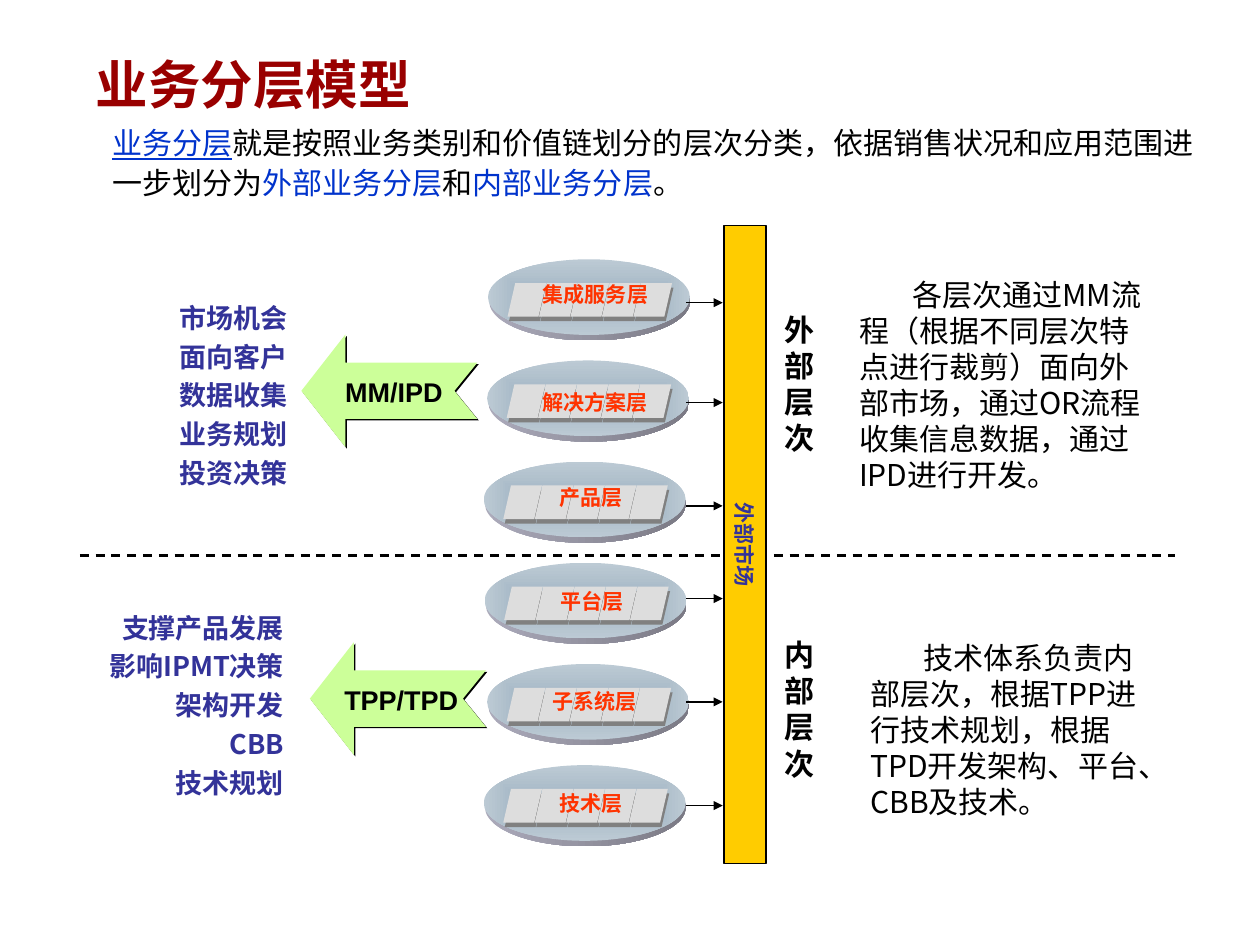
from dataclasses import dataclass
from lxml import etree
from pptx import Presentation
from pptx.dml.color import RGBColor
from pptx.enum.dml import MSO_LINE
from pptx.enum.shapes import MSO_CONNECTOR, MSO_SHAPE
from pptx.enum.text import MSO_ANCHOR, MSO_AUTO_SIZE, PP_ALIGN
from pptx.oxml.ns import qn
from pptx.util import Cm, Pt

LEFT, CENTER, RIGHT = PP_ALIGN.LEFT, PP_ALIGN.CENTER, PP_ALIGN.RIGHT
MIDDLE = MSO_ANCHOR.MIDDLE
NO_FIT = MSO_AUTO_SIZE.NONE
STRAIGHT = MSO_CONNECTOR.STRAIGHT
DASH = MSO_LINE.DASH
OVAL, TILE, RECT = MSO_SHAPE.OVAL, MSO_SHAPE.PARALLELOGRAM, MSO_SHAPE.RECTANGLE
CJK, LATIN = "Noto Sans CJK SC", "Arial"


@dataclass(frozen=True)
class Theme:
    black: str = "000000"
    red: str = "990000"
    blue: str = "0033CC"
    indigo: str = "333399"
    orange: str = "FF3300"
    green: str = "CCFF99"
    gold: str = "FFCC00"
    tile: str = "DDDDDD"
    tile_shadow: str = "808080"
    disc: tuple = ("A1B4C3", "BCCAD4")
    rim: tuple = ("ABAABA", "7B7A85")
    title_size: int = 35
    body_size: int = 20
    list_size: int = 18
    label_size: int = 14


T = Theme()


def style(size, color, name=LATIN, **more):
    return {"color": color, "font": {"size": Pt(size), "name": name, **more}}


TITLE = style(T.title_size, T.red, bold=True)
BODY = style(T.body_size, T.black, CJK)
KEYWORD = style(T.body_size, T.blue, CJK)
TERM = style(T.body_size, T.blue, CJK, underline=True)
SIDE = style(T.body_size, T.black, bold=True)
LIST = style(T.list_size, T.indigo, CJK, bold=True)
ARROW = style(T.list_size, T.black, bold=True)
LAYER = style(T.label_size, T.orange, bold=True)
MARKET = style(T.label_size, T.indigo, bold=True)

LAYERS = [
    ("集成服务层", 11.48, 6.5, 7.12),
    ("解决方案层", 11.46, 9.04, 9.47),
    ("产品层", 11.38, 11.28, 11.9),
    ("平台层", 11.4, 13.72, 14.08),
    ("子系统层", 11.46, 16.08, 16.51),
    ("技术层", 11.38, 18.47, 18.95),
]
NOTCHED = [(1, .25), (.25, .25), (.25, 0), (0, .5), (.25, 1), (.25, .75), (1, .75), (.87, .5)]


def rgb(color):
    return RGBColor.from_string(color)


def cm(box):
    return [Cm(v) for v in box]


def write(tf, paragraphs, align=LEFT, spacing=None, indent=None):
    for i, runs in enumerate(paragraphs):
        p = tf.add_paragraph() if i else tf.paragraphs[0]
        p.alignment = align
        if spacing:
            p.line_spacing = spacing
        if indent:
            p._p.get_or_add_pPr().set("indent", str(Cm(indent)))
        for text, look in runs:
            r = p.add_run()
            r.text = text
            for key, value in look["font"].items():
                setattr(r.font, key, value)
            r.font.color.rgb = rgb(look["color"])
            ea = etree.SubElement(r._r.get_or_add_rPr(), qn("a:ea"))
            ea.set("typeface", CJK)


def text_box(s, box, paragraphs, wrap=True, **layout):
    tf = s.shapes.add_textbox(*cm(box)).text_frame
    tf.word_wrap = wrap
    write(tf, paragraphs, **layout)


def plain(sp, color=None):
    sp.shadow.inherit = False
    sp.line.fill.background()
    if color:
        sp.fill.solid()
        sp.fill.fore_color.rgb = rgb(color)


def drop_shadow(sp, color, dist, angle):
    effects = sp._element.spPr.find(qn("a:effectLst"))
    shadow = etree.SubElement(effects, qn("a:outerShdw"), blurRad="0", dist=str(Pt(dist)),
                              dir=str(angle * 60000), algn="ctr", rotWithShape="0")
    etree.SubElement(shadow, qn("a:srgbClr"), val=color)


def gradient(sp, colors, centred=False):
    sp.fill.gradient()
    sp.fill.gradient_angle = 0
    for stop, color in zip(sp.fill.gradient_stops, colors):
        stop.color.rgb = rgb(color)
    if centred:
        grad = sp._element.spPr.find(qn("a:gradFill"))
        grad.remove(grad.find(qn("a:lin")))
        shade = etree.SubElement(grad, qn("a:path"), path="rect")
        etree.SubElement(shade, qn("a:fillToRect"), {side: "50000" for side in "ltrb"})


def line(s, start, end, width, dash=None, arrow=False):
    c = s.shapes.add_connector(STRAIGHT, *cm(start), *cm(end))
    c.line.color.rgb = rgb(T.black)
    c.line.width = Pt(width)
    if dash:
        c.line.dash_style = dash
    if arrow:
        etree.SubElement(c.line._get_or_add_ln(), qn("a:tailEnd"), type="triangle")
    etree.SubElement(c._element.spPr, qn("a:effectLst"))


def heading(s, box, text):
    sp = s.shapes.title
    sp.left, sp.top, sp.width, sp.height = cm(box)
    tf = sp.text_frame
    tf.auto_size, tf.vertical_anchor = NO_FIT, MIDDLE
    write(tf, [[(text, TITLE)]])


def market_bar(s, box, text):
    x, y, w, h = box
    sp = s.shapes.add_shape(RECT, *cm((x + (w - h) / 2, y + (h - w) / 2, h, w)))
    sp.rotation = 90
    plain(sp, T.gold)
    sp.line.color.rgb = rgb(T.black)
    sp.line.width = Pt(1)
    sp.text_frame.vertical_anchor = MIDDLE
    write(sp.text_frame, [[(text, MARKET)]], CENTER)


def layer_disc(s, box):
    x, y, w, h = box
    g = s.shapes.add_group_shape()
    rim = g.shapes.add_shape(OVAL, *cm((x + .03, y + .08, w - .03, h + .05)))
    disc = g.shapes.add_shape(OVAL, *cm(box))
    for sp, colors, centred in ((rim, T.rim, False), (disc, T.disc, True)):
        plain(sp)
        gradient(sp, colors, centred)
    for i in range(5):
        sp = g.shapes.add_shape(TILE, *cm((x + .46 + .74 * i, y + .56, .91, .79)))
        sp.adjustments[0] = .23
        plain(sp, T.tile)
        drop_shadow(sp, T.tile_shadow, 3.2, 72)


def layer(s, box, name, label_top, arrow_y):
    x, y, w, h = box
    layer_disc(s, box)
    text_box(s, (x + 1.03, label_top, 3, .86), [[(name, LAYER)]], wrap=False, align=CENTER)
    line(s, (16.15, arrow_y), (17, arrow_y), 1, arrow=True)


def process_arrow(s, box, text, label_box):
    x, y, w, h = box
    points = [(Cm(x + w * u), Cm(y + h * v)) for u, v in NOTCHED]
    fb = s.shapes.build_freeform(*points[0])
    fb.add_line_segments(points[1:], close=True)
    sp = fb.convert_to_shape()
    plain(sp, T.green)
    drop_shadow(sp, T.black, 1.4, 45)
    text_box(s, label_box, [[(text, ARROW)]])


def zone(s, lines, list_box, side, side_box, note, note_box):
    text_box(s, list_box, [[(t, LIST)] for t in lines], align=RIGHT, spacing=1.2)
    text_box(s, side_box, [[(side, SIDE)]])
    text_box(s, note_box, [[(note, BODY)]], indent=1.25)


def main():
    prs = Presentation()
    prs.slide_width, prs.slide_height = Cm(29.64), Cm(22.23)
    s = prs.slides.add_slide(prs.slide_layouts[5])
    heading(s, (2, 0, 26.14, 3.91), "业务分层模型")
    text_box(s, (2.39, 2.72, 26.21, 2.13), [[
        ("业务分层", TERM),
        ("就是按照业务类别和价值链划分的层次分类，依据销售状况和应用范围进一步划分为", BODY),
        ("外部业务分层", KEYWORD), ("和", BODY), ("内部业务分层", KEYWORD), ("。", BODY),
    ]], spacing=1.1)
    line(s, (1.88, 13.07), (27.64, 13.07), 1.5, dash=DASH)
    market_bar(s, (17.03, 5.31, .99, 15.01), "外部市场")
    for i, (name, left, label_top, arrow_y) in enumerate(LAYERS):
        layer(s, (left, 6.1 + 2.38 * i, 4.75, 1.78), name, label_top, arrow_y)
    process_arrow(s, (7.09, 7.87, 4.14, 2.65), "MM/IPD", (7.87, 8.71, 3.1, 1.02))
    process_arrow(s, (7.29, 15.11, 4.14, 2.65), "TPP/TPD", (7.85, 15.95, 3.33, 1.02))
    zone(s, ["市场机会", "面向客户", "数据收集", "业务规划", "投资决策"], (2.41, 6.81, 4.6, 4.83),
         "外部层次", (18.21, 7.21, 1.75, 3.66),
         "各层次通过MM流程（根据不同层次特点进行裁剪）面向外部市场，通过OR流程收集信息数据，通过IPD进行开发。",
         (19.96, 6.38, 7.21, 5.33))
    zone(s, ["支撑产品发展", "影响IPMT决策", "架构开发", "CBB", "技术规划"], (1.42, 14.1, 5.51, 4.83),
         "内部层次", (18.21, 14.86, 1.75, 3.66),
         "技术体系负责内部层次，根据TPP进行技术规划，根据TPD开发架构、平台、CBB及技术。",
         (20.22, 14.91, 7.21, 4.5))
    prs.save("out.pptx")


if __name__ == "__main__":
    main()
